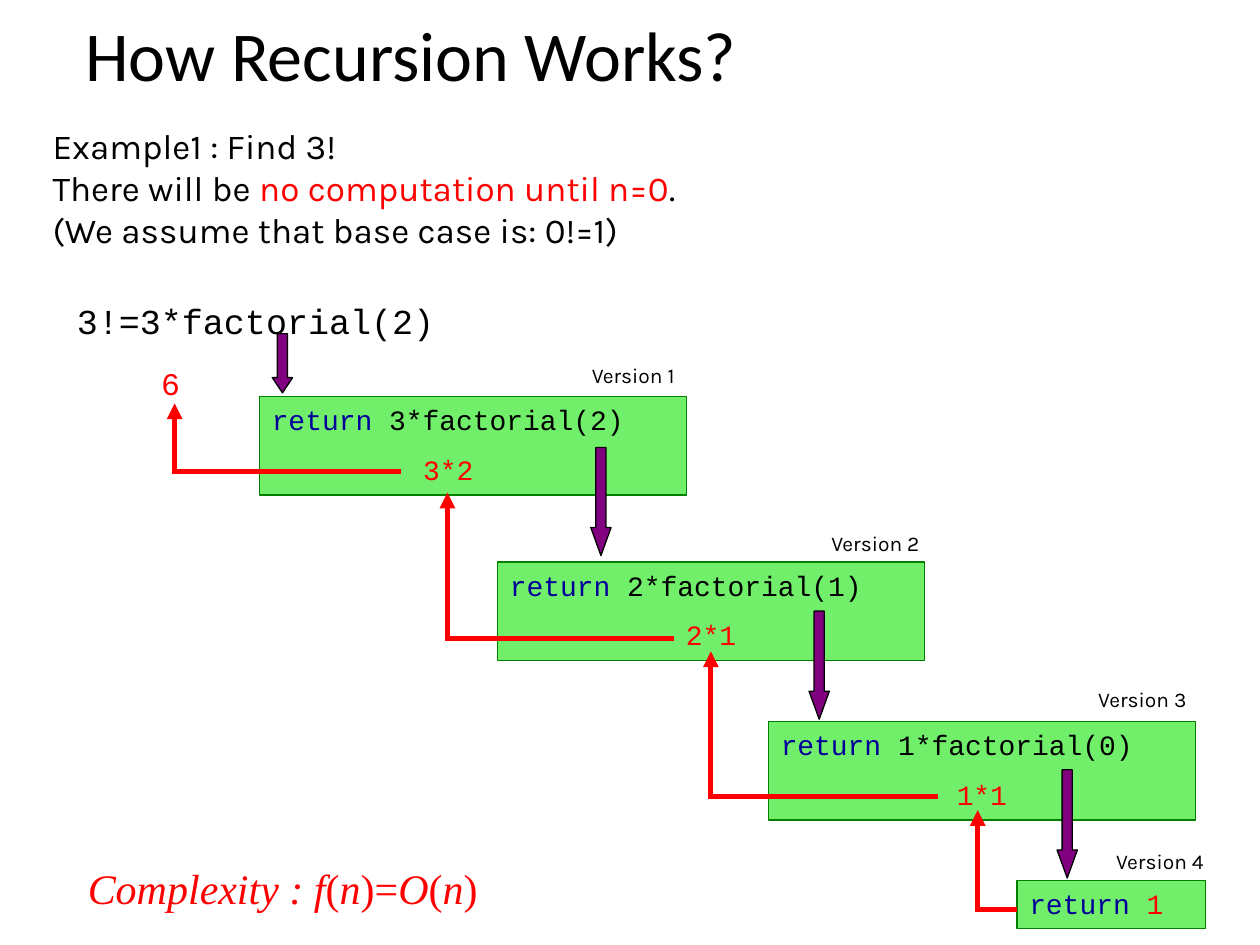
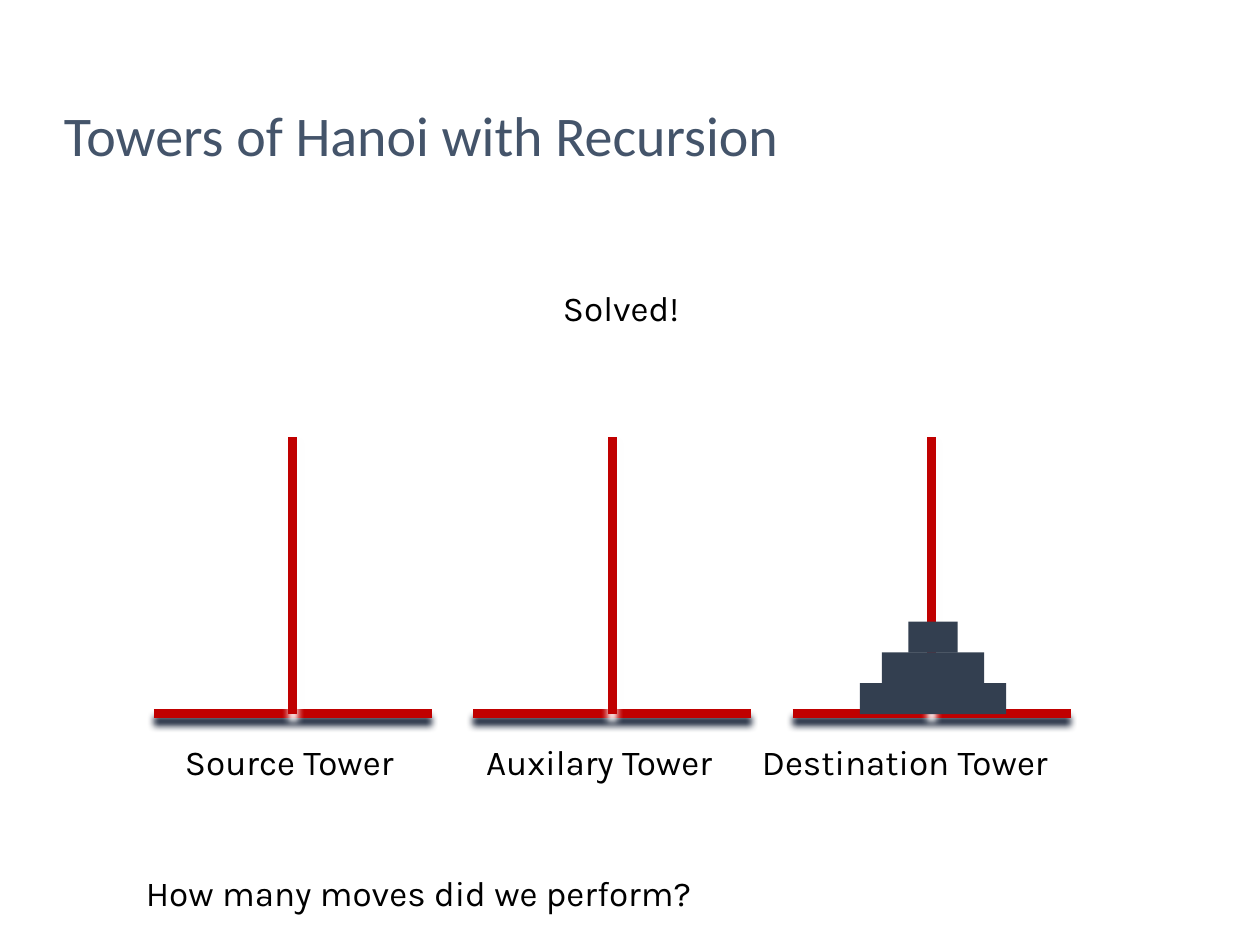
from lxml import etree
from pptx import Presentation
from pptx.dml.color import RGBColor
from pptx.enum import shapes, text
from pptx.oxml import ns
from pptx.util import Cm, Pt

BLACK = RGBColor(0x00, 0x00, 0x00)
RED = RGBColor(0xFF, 0x00, 0x00)
KEYWORD_BLUE = RGBColor(0x00, 0x00, 0x99)
CALL_GREEN = RGBColor(0x71, 0xEF, 0x6B)
CALL_BORDER = RGBColor(0x00, 0x80, 0x00)
ARROW_PURPLE = RGBColor(0x80, 0x00, 0x80)
TITLE_BLUE = RGBColor(0x44, 0x54, 0x6A)
TOWER_RED = RGBColor(0xC0, 0x00, 0x00)
DISK_GREY = RGBColor(0x33, 0x3F, 0x50)
BASE_SHADOW = RGBColor(0x10, 0x1C, 0x32)
POLE_SHADOW = RGBColor(0xFF, 0xFF, 0xFF)

TITLE_FONT = "Calibri"
BODY_FONT = "Karla"
CODE_FONT = "Courier New"
FORMULA_FONT = "Times New Roman"


def write_paragraphs(frame, paragraphs, size, font):
    frame.word_wrap = True
    for index, runs in enumerate(paragraphs):
        paragraph = frame.paragraphs[0] if index == 0 else frame.add_paragraph()
        paragraph.alignment = text.PP_ALIGN.LEFT
        paragraph.font.size = Pt(size)
        paragraph.font.name = font
        if len(runs) == 1:
            paragraph.font.color.rgb = runs[0][1]
        for words, color in runs:
            run = paragraph.add_run()
            run.text = words
            if len(runs) > 1:
                run.font.color.rgb = color


def add_text(slide, left, top, width, height, paragraphs, size=20, font=BODY_FONT):
    box = slide.shapes.add_textbox(Cm(left), Cm(top), Cm(width), Cm(height))
    write_paragraphs(box.text_frame, paragraphs, size, font)
    return box.text_frame


def add_title(slide, left, top, width, height, words, size, color, anchor):
    frame = add_text(slide, left, top, width, height, [[(words, color)]], size, TITLE_FONT)
    frame.vertical_anchor = anchor
    frame.paragraphs[0].line_spacing = 0.9


def add_block(slide, kind, left, top, width, height, fill, border=None):
    shape = slide.shapes.add_shape(kind, Cm(left), Cm(top), Cm(width), Cm(height))
    shape.shadow.inherit = False
    shape.fill.solid()
    shape.fill.fore_color.rgb = fill
    if border is None:
        shape.line.fill.background()
    else:
        shape.line.color.rgb = border
        shape.line.width = Pt(0.75)
    return shape


def add_call(slide, left, top, width, height, paragraphs):
    shape = add_block(slide, shapes.MSO_SHAPE.RECTANGLE, left, top, width, height,
                      CALL_GREEN, CALL_BORDER)
    shape.text_frame.vertical_anchor = text.MSO_ANCHOR.TOP
    write_paragraphs(shape.text_frame, paragraphs, 16, CODE_FONT)
    return shape.text_frame


def add_down_arrow(slide, left, top, height, head):
    arrow = add_block(slide, shapes.MSO_SHAPE.DOWN_ARROW, left, top, 0.41, height,
                      ARROW_PURPLE, BLACK)
    arrow.adjustments[0] = 0.5
    arrow.adjustments[1] = head


def add_line(slide, start, end, color, width, shadow=None, arrowhead=False):
    points = [Cm(length) for length in (*start, *end)]
    line = slide.shapes.add_connector(shapes.MSO_CONNECTOR.STRAIGHT, *points)
    line.line.color.rgb = color
    line.line.width = Pt(width)
    if arrowhead:
        etree.SubElement(line.line._get_or_add_ln(), ns.qn("a:tailEnd"), type="triangle")
    effects = etree.SubElement(line._element.spPr, ns.qn("a:effectLst"))
    if shadow is not None:
        outer = etree.SubElement(effects, ns.qn("a:outerShdw"), blurRad=str(Pt(4)),
                                 dist=str(Pt(4)), dir="5400000", rotWithShape="0")
        etree.SubElement(outer, ns.qn("a:srgbClr"), val=str(shadow))


def add_return_path(slide, start_x, y, corner_x, tip_y):
    add_line(slide, (start_x, y), (corner_x - 0.05, y), RED, 3)
    add_line(slide, (corner_x, y + 0.05), (corner_x, tip_y), RED, 3, arrowhead=True)


def add_tower(slide, center, base_y):
    add_line(slide, (center - 2.8, base_y), (center + 2.8, base_y), TOWER_RED, 5, BASE_SHADOW)
    add_line(slide, (center, base_y), (center, base_y - 5.59), TOWER_RED, 5, POLE_SHADOW)


def add_tabs(paragraph, positions):
    tabs = etree.SubElement(paragraph._p.get_or_add_pPr(), ns.qn("a:tabLst"))
    for position in positions:
        etree.SubElement(tabs, ns.qn("a:tab"), pos=str(Cm(position)), algn="l")


def build_recursion_slide(slide):
    add_title(slide, 1.47, 0, 23.29, 2.36, "How Recursion Works?", 40, BLACK,
              text.MSO_ANCHOR.MIDDLE)

    calls = [(5.23, 8, 3, "3*2"), (10.03, 11.33, 2, "2*1"), (15.49, 14.55, 1, "1*1")]
    for left, top, number, product in calls:
        frame = add_call(slide, left, top, 8.61, 1.98, [
            [("return", KEYWORD_BLUE), (f" {number}*factorial({number - 1})", BLACK)],
            [(product, RED)],
        ])
        result = frame.paragraphs[1]
        result.space_before = Pt(9)
        if number == 3:
            result._p.get_or_add_pPr().set("marL", str(Cm(3.05)))
        else:
            result.alignment = text.PP_ALIGN.CENTER
    add_call(slide, 20.5, 17.75, 3.81, 0.97, [[("return ", KEYWORD_BLUE), ("1", RED)]])

    add_text(slide, 1.3, 5.92, 8, 1.12, [[("3!=3*factorial(2)", BLACK)]], 20, CODE_FONT)
    add_text(slide, 3, 7.21, 1.19, 1.02, [[("6", RED)]], 18, CODE_FONT)

    add_down_arrow(slide, 5.49, 6.73, 1.19, 0.75)
    for left, top in [(11.91, 9.02), (16.31, 12.32), (21.31, 15.52)]:
        add_down_arrow(slide, left, top, 2.18, 1.38)

    for path_points in [(8.08, 9.51, 3.52, 8.13), (13.59, 12.87, 9.02, 9.93),
                        (18.9, 16.06, 14.33, 13.13), (20.5, 18.34, 19.71, 16.33)]:
        add_return_path(slide, *path_points)

    labels = [(11.68, 7.19), (16.51, 10.57), (21.89, 13.72), (22.25, 16.99)]
    for number, (left, top) in enumerate(labels, 1):
        add_text(slide, left, top, 2.59, 0.76, [[(f"Version {number}", BLACK)]], 12)

    add_text(slide, 0.81, 2.39, 20.65, 2.82, [
        [("Example1 : Find 3!", BLACK)],
        [("There will be ", BLACK), ("no computation until n=0", RED), (".", BLACK)],
        [("(We assume that base case is: 0!=1)", BLACK)],
    ])

    parts = ["Complexity : f", "(", "n", ")=", "O", "(", "n", ")"]
    formula = add_text(slide, 1.52, 17.27, 9.4, 1.27, [[(part, RED) for part in parts]],
                       24, FORMULA_FONT)
    for run in formula.paragraphs[0].runs:
        run.font.italic = run.text[-1].isalpha()


def build_hanoi_slide(slide):
    add_title(slide, 1.04, 0.53, 24.51, 3, "Towers of Hanoi with Recursion", 32, TITLE_BLUE,
              text.MSO_ANCHOR.BOTTOM)

    base_y = 14.39
    for index in range(3):
        add_tower(slide, 5.9 + 6.44 * index, base_y)

    disk_center, disk_step = 18.81, 0.62
    for level, width in enumerate([2.95, 2.06, 0.99], 1):
        add_block(slide, shapes.MSO_SHAPE.RECTANGLE, disk_center - width / 2,
                  base_y - disk_step * level, width, 0.63, DISK_GREY)

    add_text(slide, 11.1, 5.66, 3.86, 1.12, [[("Solved!", BLACK)]])
    names = add_text(slide, 3.48, 14.81, 19, 1.12, [])
    add_tabs(names.paragraphs[0], [6.07, 11.63])
    write_paragraphs(names, [[("Source Tower\tAuxilary Tower\tDestination Tower", BLACK)]],
                     20, BODY_FONT)
    add_text(slide, 2.69, 17.45, 15.6, 1.12, [[("How many moves did we perform?", BLACK)]])


def main():
    presentation = Presentation()
    presentation.slide_width = Cm(25.4)
    presentation.slide_height = Cm(19.05)
    blank = presentation.slide_layouts[6]
    for build in (build_recursion_slide, build_hanoi_slide):
        build(presentation.slides.add_slide(blank))
    presentation.save("out.pptx")


if __name__ == "__main__":
    main()
